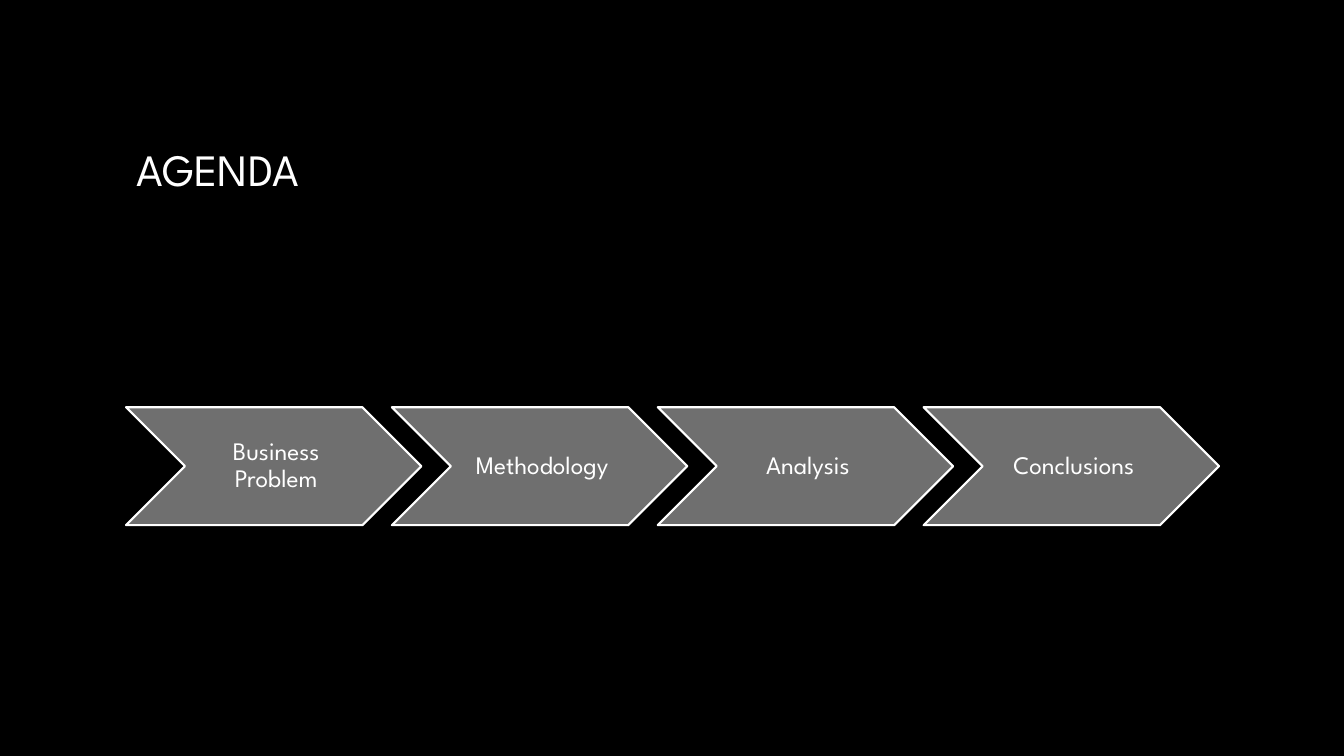
from pptx import Presentation
from pptx.dml.color import RGBColor
from pptx.enum.shapes import MSO_SHAPE
from pptx.enum.text import MSO_ANCHOR, PP_ALIGN
from pptx.util import Inches, Pt

COLOURS = {"background": "000000", "text": "FFFFFF", "step": "6F6F6F", "outline": "FFFFFF"}
FONT = "League Spartan"
AGENDA_STEPS = ["Business Problem", "Methodology", "Analysis", "Conclusions"]
LEFT, TOP = 1.25, 4.04
STEP_WIDTH, STEP_HEIGHT = 2.93, 1.17
STEP_PITCH = 0.9 * STEP_WIDTH


def colour(name):
    return RGBColor.from_string(COLOURS[name])


def write_text(frame, text, size, alignment):
    frame.text = text
    frame.word_wrap = True
    frame.vertical_anchor = MSO_ANCHOR.MIDDLE
    paragraph = frame.paragraphs[0]
    paragraph.alignment = alignment
    paragraph.line_spacing = 0.9
    font = paragraph.runs[0].font
    font.name = FONT
    font.size = Pt(size)
    font.color.rgb = colour("text")


def set_heading(slide, text):
    heading = slide.shapes.title
    heading.left, heading.top = Inches(LEFT), Inches(0.67)
    heading.width, heading.height = Inches(10.83), Inches(2.08)
    write_text(heading.text_frame, text, 32, PP_ALIGN.LEFT)


def add_step(slide, index, text):
    step = slide.shapes.add_shape(
        MSO_SHAPE.CHEVRON,
        Inches(LEFT + index * STEP_PITCH), Inches(TOP),
        Inches(STEP_WIDTH), Inches(STEP_HEIGHT),
    )
    step.shadow.inherit = False
    step.fill.solid()
    step.fill.fore_color.rgb = colour("step")
    step.line.color.rgb = colour("outline")
    step.line.width = Pt(1.5)
    frame = step.text_frame
    frame.margin_left = Inches(0.08)
    frame.margin_top = frame.margin_right = frame.margin_bottom = Inches(0.03)
    write_text(frame, text, 18, PP_ALIGN.CENTER)


def main():
    presentation = Presentation()
    presentation.slide_width = Inches(13.33)
    presentation.slide_height = Inches(7.5)
    slide = presentation.slides.add_slide(presentation.slide_layouts[5])
    slide.background.fill.solid()
    slide.background.fill.fore_color.rgb = colour("background")
    set_heading(slide, "AGENDA")
    for index, text in enumerate(AGENDA_STEPS):
        add_step(slide, index, text)
    presentation.save("out.pptx")


if __name__ == "__main__":
    main()
